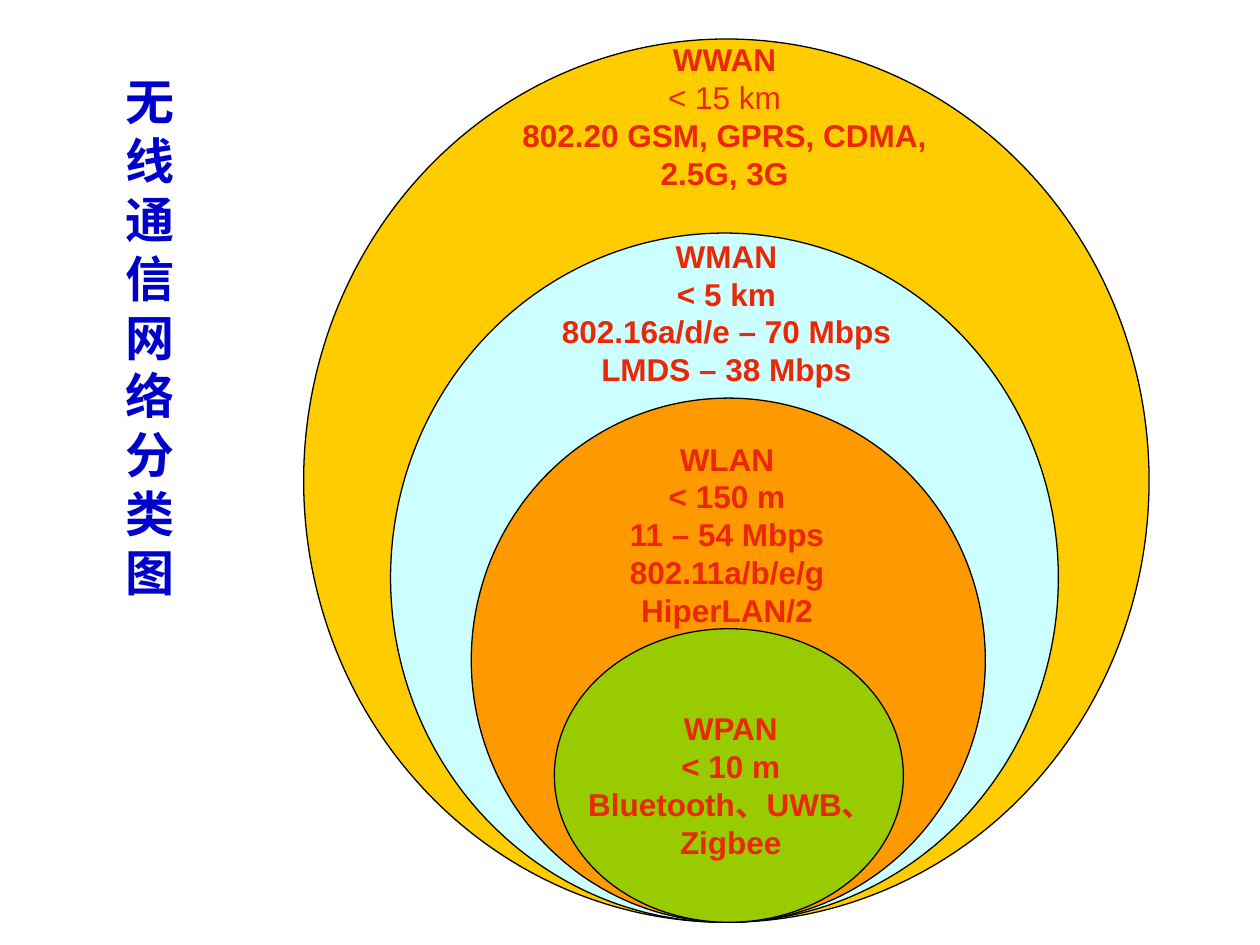
from dataclasses import dataclass

from lxml import etree
from pptx import Presentation
from pptx import util as u
from pptx.dml.color import RGBColor
from pptx.enum import shapes, text
from pptx.oxml.ns import qn


@dataclass(frozen=True)
class Theme:
    red: str = "EA2706"
    blue: str = "0000CC"
    black: str = "000000"
    body: int = 18
    head: int = 28
    edge: float = 0.75
    sans: str = "Arial"
    title: str = "Cabin"


T = Theme()

# The slide is a grid of 100 columns by 75 rows; boxes are left, top, width, height
CELL = u.Inches(0.1)
COLS, ROWS = 100, 75
BASE = 73.2  # row where all rings touch
LINE = 3     # rows taken by a line of body text
DEEP = 21.9  # rows from the top of a label to its end

# Rings from outside in: left, top, width, fill
RINGS = [
    (24.1, 3.1, 67.1, "FFCC00"),
    (31, 18.5, 53, "CCFFFF"),
    (37.4, 31.6, 40.8, "FF9900"),
    (44, 49.9, 27.7, "99CC00"),
]

# Labels: left, top, width, lines left free above, (wording, bold) by line
LABELS = [
    (43.7, 49.8, 28.6, 2,
     [("WPAN", True), ("< 10 m", True), ("Bluetooth、UWB、Zigbee", True)]),
    (42.2, 31.4, 31, 1,
     [("WLAN", True), ("< 150 m", True), ("11 – 54 Mbps", True),
      ("802.11a/b/e/g", True), ("HiperLAN/2", True)]),
    (42.4, 18.3, 30.5, 0,
     [("WMAN", True), ("< 5 km", True), ("802.16a/d/e – 70 Mbps", True),
      ("LMDS – 38 Mbps", True)]),
    (38.6, 2.7, 37.8, 0,
     [("WWAN", True), ("< 15 km", False),
      ("802.20 GSM, GPRS, CDMA, 2.5G, 3G", True)]),
]


def grid(box):
    return [round(n * CELL) for n in box]


def rgb(code):
    return RGBColor.from_string(code)


def write(par, words, size=T.body, face=T.sans, color=T.red, bold=True,
          align=text.PP_ALIGN.CENTER):
    """Put formatted words into a paragraph."""
    par.alignment = align
    run = par.add_run()
    run.text = words
    font = run.font
    font.size, font.name, font.bold = u.Pt(size), face, bold
    font.color.rgb = rgb(color)
    # East Asian letters use the same face
    etree.SubElement(run._r.get_or_add_rPr(), qn("a:ea"), typeface=face)


def frame(parts, box):
    """Add a wrapping text box and return its text frame."""
    body = parts.add_textbox(*grid(box)).text_frame
    body.word_wrap = True
    return body


def ring(parts, box, fill):
    oval = parts.add_shape(shapes.MSO_SHAPE.OVAL, *grid(box))
    oval.shadow.inherit = False
    oval.fill.solid()
    oval.fill.fore_color.rgb = rgb(fill)
    oval.line.color.rgb = rgb(T.black)
    oval.line.width = u.Pt(T.edge)


def label(parts, box, lines):
    body = frame(parts, box)
    for i, (words, bold) in enumerate(lines):
        par = body.add_paragraph() if i else body.paragraphs[0]
        write(par, words, bold=bold)


def chart(parts):
    """Nested rings, then their labels on top."""
    for left, top, wide, fill in RINGS:
        ring(parts, (left, top, wide, BASE - top), fill)
    for left, top, wide, skip, lines in LABELS:
        drop = skip * LINE
        label(parts, (left, top + drop, wide, DEEP - drop), lines)


def title(parts, box):
    """One narrow column, so each character wraps to its own line."""
    body = frame(parts, box)
    body.auto_size = text.MSO_AUTO_SIZE.SHAPE_TO_FIT_TEXT
    write(body.paragraphs[0], "无线通信网络分类图", size=T.head,
          face=T.title, color=T.blue, align=text.PP_ALIGN.LEFT)


def main():
    deck = Presentation()
    deck.slide_width, deck.slide_height = COLS * CELL, ROWS * CELL
    slide = deck.slides.add_slide(deck.slide_layouts[6])
    chart(slide.shapes.add_group_shape().shapes)
    title(slide.shapes, (9, 5.2, 6.3, 43.1))
    deck.save("out.pptx")


if __name__ == "__main__":
    main()
